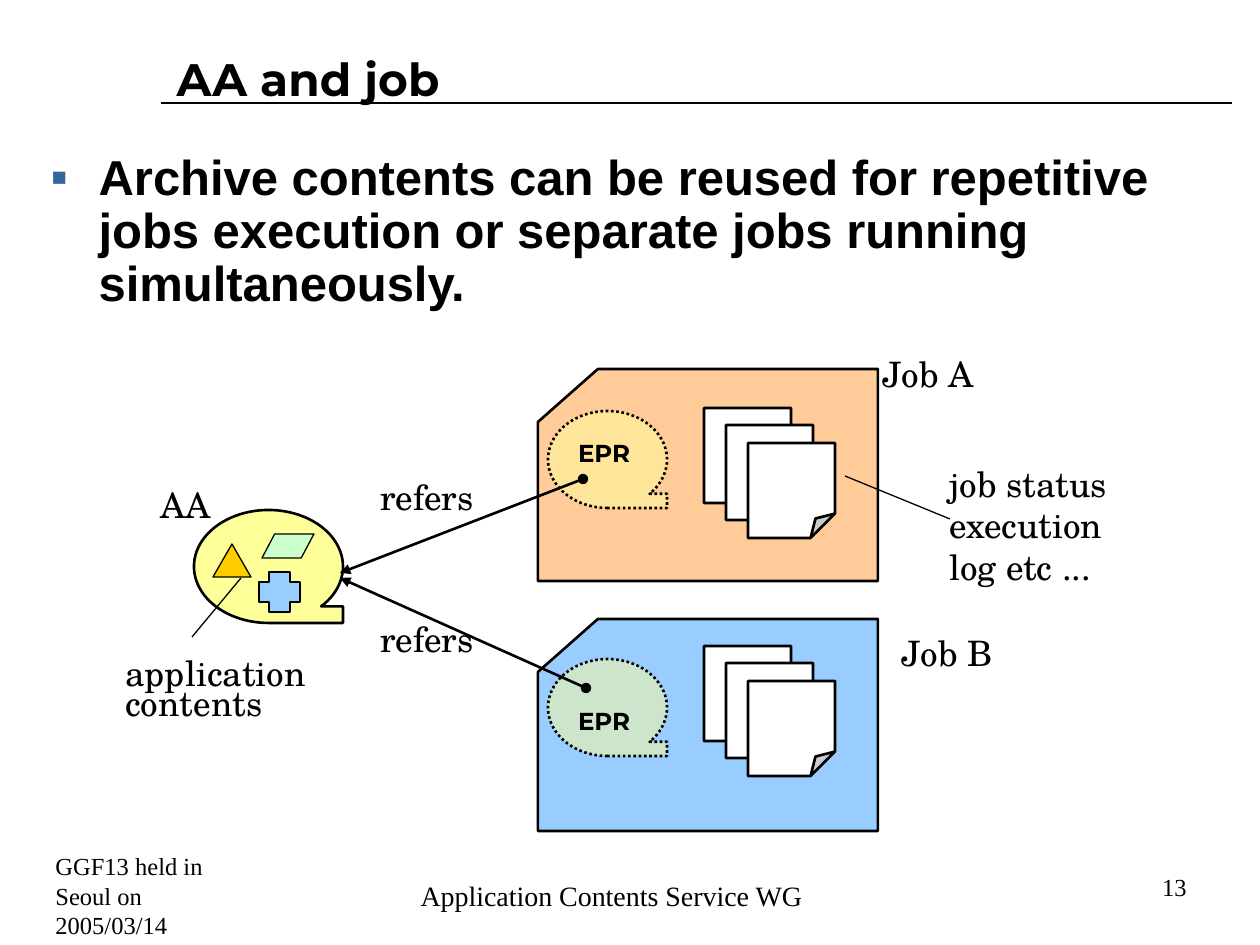
from lxml import etree
from pptx import Presentation
from pptx.dml.color import RGBColor
from pptx.enum.dml import MSO_LINE
from pptx.enum.shapes import MSO_CONNECTOR, MSO_SHAPE
from pptx.enum.text import MSO_ANCHOR, MSO_AUTO_SIZE, PP_ALIGN
from pptx.oxml.ns import qn
from pptx.util import Pt

EMU_PER_PX = 914400 / 126
LEFT, CENTER, RIGHT = PP_ALIGN.LEFT, PP_ALIGN.CENTER, PP_ALIGN.RIGHT
TOP, MIDDLE = MSO_ANCHOR.TOP, MSO_ANCHOR.MIDDLE
TAPE = MSO_SHAPE.FLOWCHART_SEQUENTIAL_ACCESS_STORAGE
PAGE = MSO_SHAPE.FOLDED_CORNER
COLORS = {
    "black": "000000", "white": "FFFFFF", "bullet": "336699",
    "orange": "FFCC99", "blue": "99CCFF", "yellow": "FFFF99",
    "gold": "FFCC00", "green": "CCFFCC",
}
SERIF, SCHOOL, DISPLAY, SANS = (
    "Times New Roman", "TeX Gyre Schola", "Montserrat", "Arial")

TITLE = "AA and job"
BODY = ("Archive contents can be reused for repetitive jobs execution "
        "or separate jobs running simultaneously.")

# fill, top of the card, EPR tape, EPR text and first page
JOBS = [
    ("orange", 369, 411, 438, 408),
    ("blue", 619, 659, 706, 646),
]
JOB_LEFT, JOB_WIDTH, JOB_HEIGHT = 538, 340, 212
CUT_WIDTH, CUT_HEIGHT = 60, 53
PAGE_OFFSETS = [(0, 0), (22, 17), (44, 35)]

# preset, box, fill, line width, adjustment in percent
ARCHIVE = [
    (TAPE, (194, 510, 149, 113), "yellow", 1.5, None),
    (MSO_SHAPE.ISOSCELES_TRIANGLE, (213, 544, 38, 33), "gold", 0.75, 50),
    (MSO_SHAPE.PARALLELOGRAM, (262, 534, 52, 24), "green", 0.75, 53),
    (MSO_SHAPE.CROSS, (259, 572, 41, 40), "blue", 0.75, 25),
]
# from, to, width, arrowheads
LINES = [
    ((161, 103), (1232, 103), 0.75, False),
    ((583, 479), (340, 573), 1.5, True),
    ((586, 688), (340, 578), 1.5, True),
    ((950, 519), (845, 476), 0.75, False),
    ((192, 637), (241, 578), 0.75, False),
]
# box, alignment, (text, line spacing) for each paragraph
LABELS = [
    ((839, 357, 178, 60), CENTER, [("Job A", 0.72)]),
    ((858, 636, 178, 60), CENTER, [("Job B", 0.72)]),
    ((130, 488, 112, 60), CENTER, [("AA", 0.72)]),
    ((368, 480, 126, 60), LEFT, [("refers", 0.72)]),
    ((368, 622, 126, 60), LEFT, [("refers", 0.72)]),
    ((937, 467, 194, 132), LEFT,
     [("job status", 0.72), ("execution log etc ...", 1.0)]),
    ((113, 656, 209, 101), LEFT, [("application", 0.72), ("contents", 0.72)]),
]
FOOTERS = [
    ((43, 872, 222, 47), LEFT, 14, "GGF13 held in Seoul on 2005/03/14"),
    ((383, 861, 457, 69), CENTER, 16, "Application Contents Service WG"),
    ((1079, 872, 120, 30), RIGHT, 14, "13"),
]


def px(*values):
    return [round(value * EMU_PER_PX) for value in values]


def color(name):
    return RGBColor.from_string(COLORS[name])


def place(shape, box):
    shape.left, shape.top, shape.width, shape.height = px(*box)


def set_font(paragraph, name, size, bold=False):
    font = paragraph.font
    font.name, font.size, font.bold = name, Pt(size), bold
    font.color.rgb = color("black")


def paint(shape, fill, width):
    shape.shadow.inherit = False
    shape.fill.solid()
    shape.fill.fore_color.rgb = color(fill)
    shape.line.color.rgb = color("black")
    shape.line.width = Pt(width)


def add_preset(shapes, preset, box, fill, width, percent=None):
    shape = shapes.add_shape(preset, *px(*box))
    paint(shape, fill, width)
    if percent is not None:
        guides = shape._element.spPr.find(qn("a:prstGeom")).get_or_add_avLst()
        for guide in list(guides):
            guides.remove(guide)
        etree.SubElement(guides, qn("a:gd"), name="adj",
                         fmla=f"val {percent * 1000}")
    return shape


def add_text(shapes, box, paragraphs, font, align=LEFT, anchor=TOP, inset=True):
    """Add a wrapped text box; paragraphs holds (text, line spacing) pairs."""
    frame = shapes.add_textbox(*px(*box)).text_frame
    frame.word_wrap = True
    frame.vertical_anchor = anchor
    if not inset:
        frame.margin_left = frame.margin_top = 0
        frame.margin_right = frame.margin_bottom = 0
    for index, (text, spacing) in enumerate(paragraphs):
        paragraph = frame.add_paragraph() if index else frame.paragraphs[0]
        paragraph.text = text
        paragraph.alignment = align
        paragraph.line_spacing = spacing
        set_font(paragraph, *font)


def add_line(shapes, start, end, width, arrow):
    line = shapes.add_connector(MSO_CONNECTOR.STRAIGHT, *px(*start, *end))
    line.line.color.rgb = color("black")
    line.line.width = Pt(width)
    if arrow:
        outline = line._element.spPr.find(qn("a:ln"))
        for tag, kind in (("a:headEnd", "oval"), ("a:tailEnd", "triangle")):
            etree.SubElement(outline, qn(tag), type=kind)
    etree.SubElement(line._element.spPr, qn("a:effectLst"))


def add_job(shapes, fill, top, tape_top, text_top, page_top):
    right, bottom = JOB_LEFT + JOB_WIDTH, top + JOB_HEIGHT
    builder = shapes.build_freeform(JOB_LEFT, bottom, scale=EMU_PER_PX)
    builder.add_line_segments([
        (JOB_LEFT, top + CUT_HEIGHT), (JOB_LEFT + CUT_WIDTH, top),
        (right, top), (right, bottom)], close=True)
    paint(builder.convert_to_shape(), fill, 1.5)

    tape = add_preset(shapes, TAPE, (548, tape_top, 119, 97), "yellow", 1.5)
    tape.line.dash_style = MSO_LINE.ROUND_DOT
    tint = tape._element.spPr.find(qn("a:solidFill"))[0]
    etree.SubElement(tint, qn("a:alpha"), val="50000")
    for dx, dy in PAGE_OFFSETS:
        add_preset(shapes, PAGE, (704 + dx, page_top + dy, 87, 95),
                   "white", 1.5, 28)
    add_text(shapes, (578, text_top, 95, 49), [("EPR", 1.0)],
             (DISPLAY, 14, True), inset=False)


def fill_placeholders(slide):
    title, body = slide.placeholders
    place(title, (164, 42, 1070, 73))
    place(body, (38, 147, 1195, 711))
    for shape, text, anchor in ((title, TITLE, MIDDLE), (body, BODY, TOP)):
        shape.text_frame.text = text
        shape.text_frame.auto_size = MSO_AUTO_SIZE.NONE
        shape.text_frame.vertical_anchor = anchor
        shape.text_frame.paragraphs[0].alignment = LEFT
    set_font(title.text_frame.paragraphs[0], DISPLAY, 26, True)

    paragraph = body.text_frame.paragraphs[0]
    paragraph.line_spacing = 0.9
    paragraph.space_before = Pt(0)
    properties = paragraph._p.get_or_add_pPr()
    indent = px(48)[0]
    properties.set("marL", str(indent))
    properties.set("indent", str(-indent))
    bullet_color = etree.SubElement(properties, qn("a:buClr"))
    etree.SubElement(bullet_color, qn("a:srgbClr"), val=COLORS["bullet"])
    etree.SubElement(properties, qn("a:buChar"), char="▪")
    set_font(paragraph, SANS, 28, True)


def main():
    presentation = Presentation()
    presentation.slide_width, presentation.slide_height = px(1260, 945)
    slide = presentation.slides.add_slide(presentation.slide_layouts[1])
    shapes = slide.shapes
    fill_placeholders(slide)
    for job in JOBS:
        add_job(shapes, *job)
    for part in ARCHIVE:
        add_preset(shapes, *part)
    for line in LINES:
        add_line(shapes, *line)
    for box, align, paragraphs in LABELS:
        add_text(shapes, box, paragraphs, (SCHOOL, 20), align)
    for box, align, size, text in FOOTERS:
        add_text(shapes, box, [(text, 1.0)], (SERIF, size), align, MIDDLE)
    presentation.save("out.pptx")


if __name__ == "__main__":
    main()
